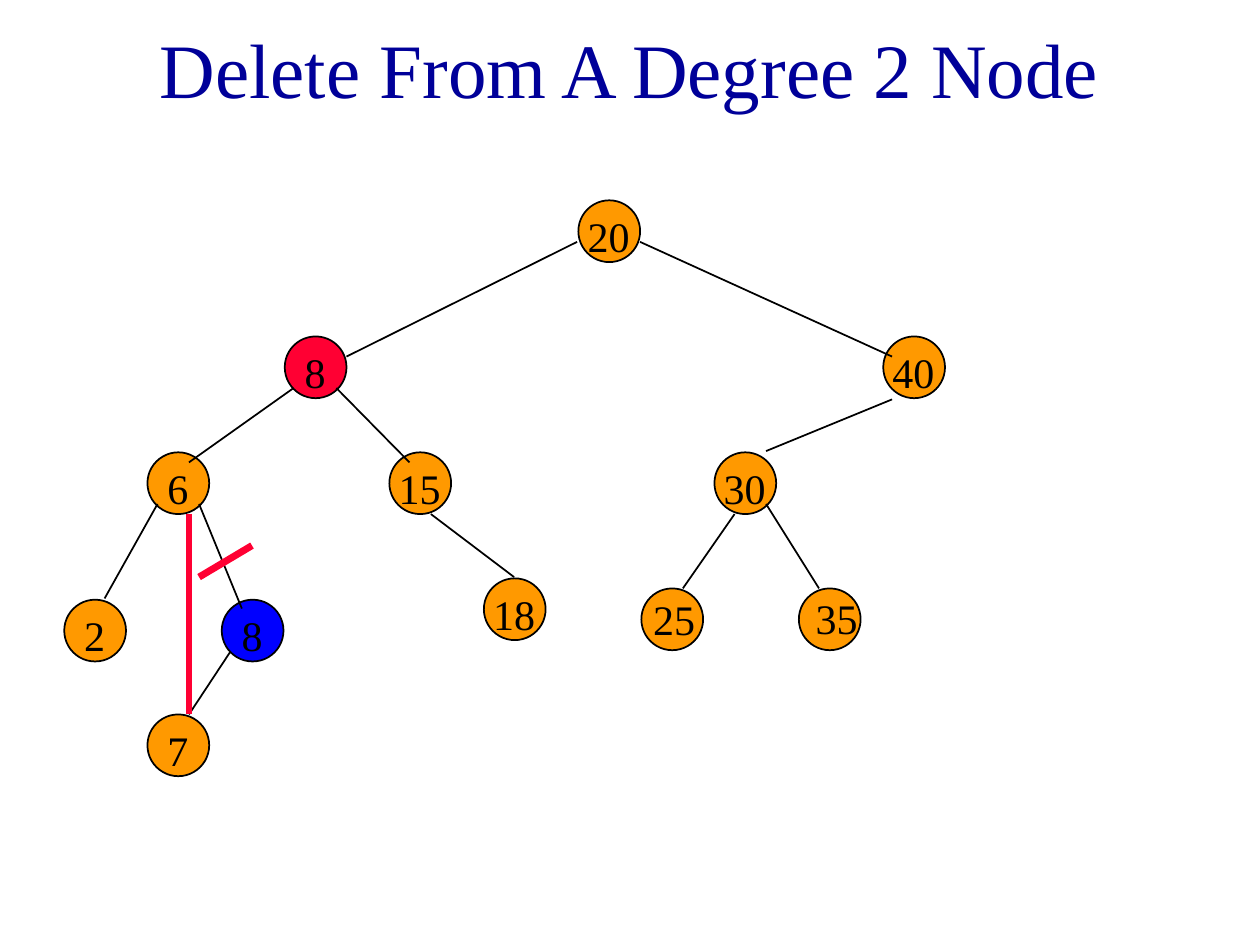
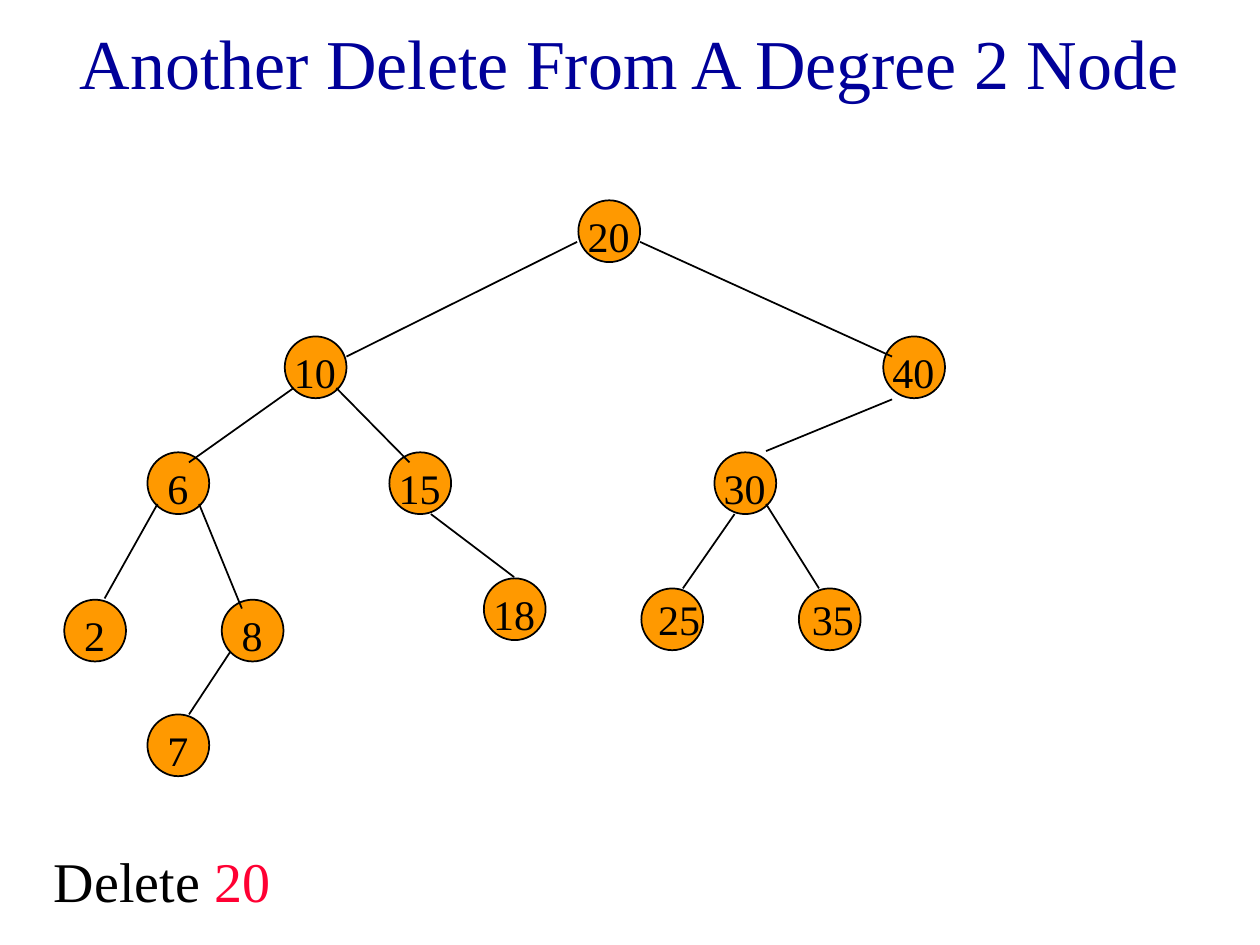
from lxml import etree
from pptx import Presentation
from pptx.dml.color import RGBColor
from pptx.enum import shapes, text
from pptx.oxml import ns
from pptx.util import Inches, Pt

HUES = {"title": "000099", "ink": "000000", "node": "FF9900",
        "red": "FF0033", "blue": "0000FF", "page": "FFFFFF"}
FONT = "Times New Roman"
DISC = 0.49

NODES = {
    "root": (4.59, 1.59, "20"),
    "left": (2.26, 2.67, "10"),
    "right": (7.01, 2.67, "40"),
    "six": (1.17, 3.59, "6"),
    "fifteen": (3.09, 3.59, "15"),
    "thirty": (5.67, 3.59, "30"),
    "two": (0.51, 4.76, "2"),
    "eight": (1.76, 4.76, "8"),
    "low": (5.09, 4.67, "25"),
    "high": (6.34, 4.67, "35"),
    "seven": (1.17, 5.67, "7"),
    "last": (3.84, 4.59, "18"),
}

EDGES = [
    (4.58, 1.92, 2.75, 2.83),
    (5.08, 1.92, 7.08, 2.83),
    (2.33, 3.08, 1.5, 3.67),
    (2.67, 3.08, 3.25, 3.67),
    (7.08, 3.17, 6.08, 3.58),
    (1.25, 4, 0.83, 4.75),
    (1.58, 4, 1.92, 4.83),
    (5.83, 4.08, 5.42, 4.67),
    (6.08, 4, 6.5, 4.67),
    (1.83, 5.17, 1.5, 5.67),
    (3.42, 4.08, 4.08, 4.58),
]


class Deck:
    def __init__(self):
        self.show = Presentation()
        self.show.slide_width = Inches(10)
        self.show.slide_height = Inches(7.5)

    def page(self, title, top, size):
        self.slide = self.show.slides.add_slide(self.show.slide_layouts[6])
        fill = self.slide.background.fill
        fill.solid()
        fill.fore_color.rgb = self.hue("page")
        self.area = self.slide.shapes
        frame = self.words([(title, "title")], (0.12, top, 9.75, 1.25), size)
        frame.vertical_anchor = text.MSO_ANCHOR.MIDDLE
        frame.paragraphs[0].alignment = text.PP_ALIGN.CENTER

    def hue(self, name):
        return RGBColor.from_string(HUES[name])

    def words(self, parts, box, size, wrap=True):
        frame = self.area.add_textbox(*map(Inches, box)).text_frame
        frame.word_wrap = wrap
        for part, name in parts:
            run = frame.paragraphs[0].add_run()
            run.text = part
            run.font.name = FONT
            run.font.size = Pt(size)
            run.font.color.rgb = self.hue(name)
        return frame

    def disc(self, left, top, name):
        shape = self.area.add_shape(shapes.MSO_SHAPE.OVAL, Inches(left),
                                    Inches(top), Inches(DISC), Inches(DISC))
        shape.shadow.inherit = False
        shape.fill.solid()
        shape.fill.fore_color.rgb = self.hue(name)
        shape.line.color.rgb = self.hue("ink")
        shape.line.width = Pt(1)

    def label(self, left, top, key, shift):
        wide = 0.2 + 0.17 * len(key)
        box = (left + (DISC - wide) / 2 + shift[0],
               top + 0.03 + shift[1], wide, 0.5)
        self.words([(key, "ink")], box, 24, wrap=False)

    def line(self, ends, name="ink", width=1):
        line = self.area.add_connector(shapes.MSO_CONNECTOR.STRAIGHT,
                                       *map(Inches, ends))
        line.line.color.rgb = self.hue(name)
        line.line.width = Pt(width)
        etree.SubElement(line._element.spPr, ns.qn("a:effectLst"))

    def tree(self, shifts, hues={}, keys={}):
        for name, (left, top, key) in NODES.items():
            self.disc(left, top, hues.get(name, "node"))
        for ends in EDGES:
            self.line(ends)
        for name, (left, top, key) in NODES.items():
            self.label(left, top, keys.get(name, key),
                       shifts.get(name, (0, 0)))

    def group(self):
        self.area = self.slide.shapes.add_group_shape().shapes


def main():
    deck = Deck()

    deck.page("Delete From A Degree 2 Node", -0.09, 44)
    deck.tree({"low": (0.02, -0.04), "high": (0.06, -0.05)},
              {"left": "red", "eight": "blue"}, {"left": "8"})
    deck.line((1.5, 4.08, 1.5, 5.67), "red", 4)
    deck.line((2, 4.33, 1.58, 4.58), "red", 4)

    deck.page("Another Delete From A Degree 2 Node", -0.14, 40)
    task = deck.words([("Delete ", "ink"), ("20", "red")],
                      (0.33, 6.67, 9, 0.63), 32)
    task.paragraphs[0].space_before = Pt(20)
    deck.group()
    deck.tree({"low": (0.06, -0.04), "high": (0.03, -0.04)})

    deck.show.save("out.pptx")


if __name__ == "__main__":
    main()
